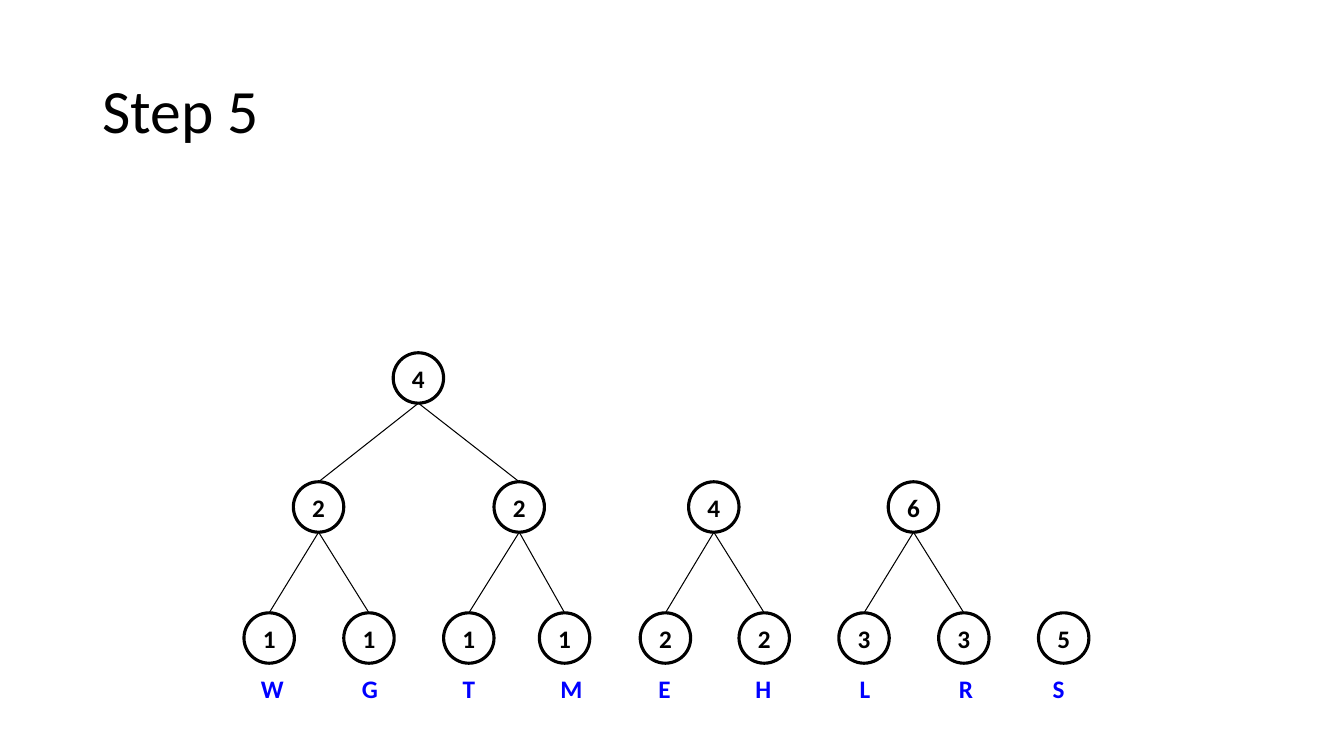
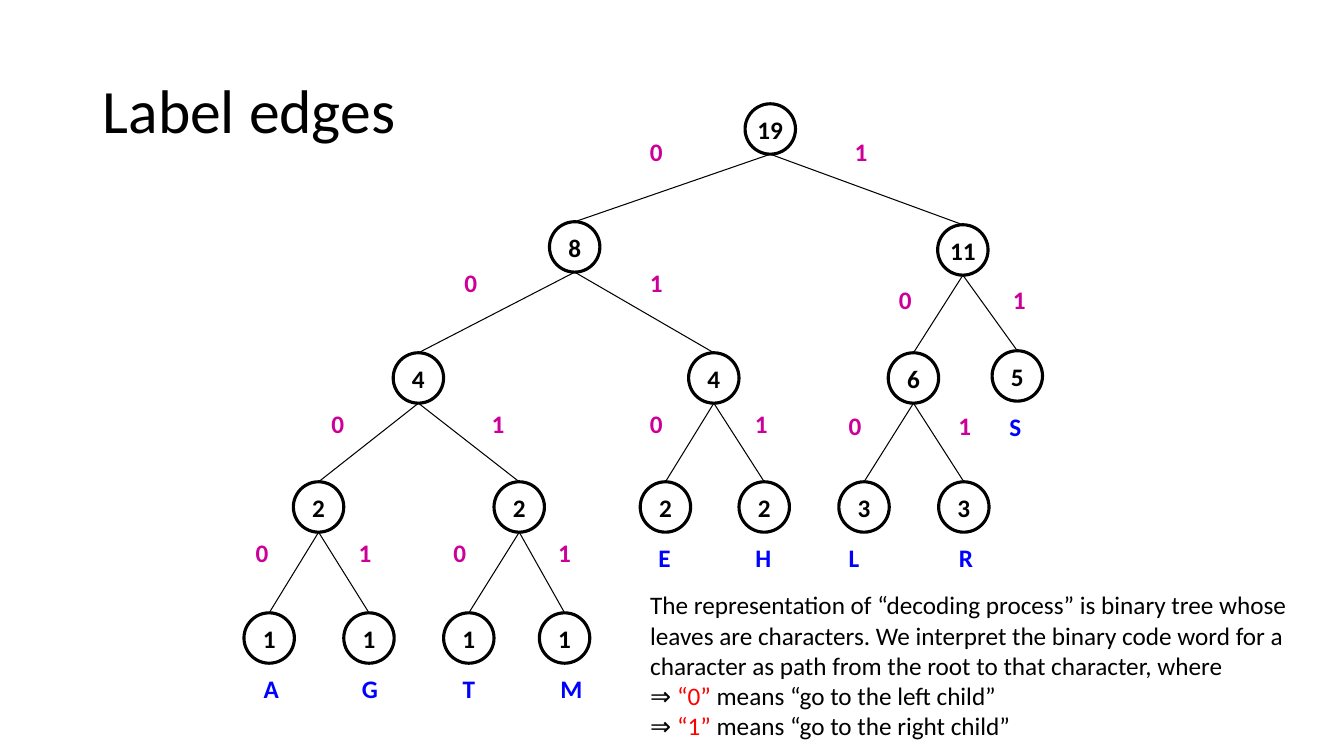
from dataclasses import dataclass
from typing import Optional

from lxml import etree
from pptx import Presentation
from pptx.dml.color import RGBColor
from pptx.enum import shapes, text
from pptx.oxml import ns
from pptx.util import Inches, Pt

BLACK = RGBColor(0x00, 0x00, 0x00)
BLUE = RGBColor(0x00, 0x00, 0xFF)
MAGENTA = RGBColor(0xCC, 0x00, 0x99)
RED = RGBColor(0xFF, 0x00, 0x00)

BODY = {"name": "Calibri", "size": Pt(18), "bold": False}
BOLD = {**BODY, "bold": True}
TITLE = {**BODY, "size": Pt(44)}

ROWS = [1.03, 2.2, 3.5, 4.78, 6.08]
DIAMETER = 0.5
LETTER_DROP = 0.55
LABEL_WIDTH, LABEL_HEIGHT = 0.4, 0.4


@dataclass
class Node:
    """A tree node; x is its centre, bits holds (x of 0, x of 1, top)."""
    value: int
    x: float
    top: float
    children: tuple = ()
    bits: Optional[tuple] = None
    letter: str = ""
    letter_x: float = 0


def pair(value, x, row, leaves, bits=None):
    """Parent in a row over leaves given as (value, x, letter, letter x)."""
    children = tuple(Node(leaf_value, leaf_x, ROWS[row + 1], letter=letter, letter_x=letter_x)
                     for leaf_value, leaf_x, letter, letter_x in leaves)
    return Node(value, x, ROWS[row], children, bits)


def rare_letters(first):
    """Subtree of the four letters that occur once."""
    left = pair(2, 3.16, 3, [(1, 2.67, first, 2.69), (1, 3.66, "G", 3.67)], (2.6, 3.62, 5.28))
    right = pair(2, 5.15, 3, [(1, 4.65, "T", 4.65), (1, 5.6, "M", 5.66)], (4.56, 5.6, 5.28))
    return Node(4, 4.15, ROWS[2], (left, right), (3.35, 4.94, 4.0))


def e_and_h(row):
    return pair(4, 7.08, row, [(2, 6.6, "E", 6.59), (2, 7.58, "H", 7.57)], (6.51, 7.55, 4.0))


def l_and_r(row, l_x):
    return pair(6, 9.06, row, [(3, 8.57, "L", l_x), (3, 9.56, "R", 9.58)], (8.48, 9.57, 4.02))


def whole_tree():
    left = Node(8, 5.7, ROWS[1], (rare_letters("A"), e_and_h(2)), (4.67, 6.51, 2.6))
    s_leaf = Node(5, 10.09, 3.48, letter="S", letter_x=10.07)
    right = Node(11, 9.55, 2.23, (l_and_r(2, 8.47), s_leaf), (8.98, 10.11, 2.77))
    return Node(19, 7.64, ROWS[0], (left, right), (6.51, 8.54, 1.3))


def add_run(paragraph, words, style, color):
    run = paragraph.add_run()
    run.text = words
    for key, value in style.items():
        setattr(run.font, key, value)
    run.font.color.rgb = color


def add_text_box(slide, left, top, width, height, wrap=True):
    box = slide.shapes.add_textbox(Inches(left), Inches(top), Inches(width), Inches(height))
    box.text_frame.word_wrap = wrap
    return box.text_frame


def add_title(slide, words):
    frame = add_text_box(slide, 0.92, 0.4, 11.5, 1.45)
    frame.vertical_anchor = text.MSO_ANCHOR.MIDDLE
    frame.paragraphs[0].line_spacing = 0.9
    add_run(frame.paragraphs[0], words, TITLE, BLACK)


def add_label(slide, x, top, words, color):
    """Short bold label centred on x."""
    frame = add_text_box(slide, x - LABEL_WIDTH / 2, top, LABEL_WIDTH, LABEL_HEIGHT, wrap=False)
    frame.paragraphs[0].alignment = text.PP_ALIGN.CENTER
    add_run(frame.paragraphs[0], words, BOLD, color)


def add_edge(slide, parent, child):
    edge = slide.shapes.add_connector(
        shapes.MSO_CONNECTOR.STRAIGHT, Inches(child.x), Inches(child.top),
        Inches(parent.x), Inches(parent.top + DIAMETER))
    edge.line.color.rgb = BLACK
    edge.line.width = Pt(0.75)
    properties = edge._element.find(ns.qn("p:spPr"))
    etree.SubElement(properties, ns.qn("a:effectLst"))


def add_circle(slide, node):
    circle = slide.shapes.add_shape(
        shapes.MSO_SHAPE.FLOWCHART_CONNECTOR, Inches(node.x - DIAMETER / 2),
        Inches(node.top), Inches(DIAMETER), Inches(DIAMETER))
    circle.shadow.inherit = False
    circle.fill.background()
    circle.line.color.rgb = BLACK
    circle.line.width = Pt(2.25)
    frame = circle.text_frame
    frame.word_wrap = False
    frame.vertical_anchor = text.MSO_ANCHOR.MIDDLE
    frame.paragraphs[0].alignment = text.PP_ALIGN.CENTER
    add_run(frame.paragraphs[0], str(node.value), BOLD, BLACK)


def draw_tree(slide, node, with_bits=False):
    for child in node.children:
        add_edge(slide, node, child)
        draw_tree(slide, child, with_bits)
    add_circle(slide, node)
    if node.letter:
        add_label(slide, node.letter_x, node.top + LETTER_DROP, node.letter, BLUE)
    if with_bits and node.bits:
        zero_x, one_x, top = node.bits
        add_label(slide, zero_x, top, "0", MAGENTA)
        add_label(slide, one_x, top, "1", MAGENTA)


def add_explanation(slide):
    frame = add_text_box(slide, 6.35, 5.8, 6.98, 1.62)
    add_run(frame.paragraphs[0],
            "The representation of “decoding process” is binary tree whose leaves are "
            "characters. We interpret the binary code word for a character as path from "
            "the root to that character, where", BODY, BLACK)
    for bit, side in (("0", "left"), ("1", "right")):
        paragraph = frame.add_paragraph()
        add_run(paragraph, "⇒ ", BODY, BLACK)
        add_run(paragraph, f"“{bit}” ", BODY, RED)
        add_run(paragraph, f"means “go to the {side} child”", BODY, BLACK)


def add_slide(deck, title):
    slide = deck.slides.add_slide(deck.slide_layouts[6])
    add_title(slide, title)
    return slide


def main():
    deck = Presentation()
    deck.slide_width, deck.slide_height = Inches(13.33), Inches(7.5)

    step = add_slide(deck, "Step 5")
    s_leaf = Node(5, 10.55, ROWS[4], letter="S", letter_x=10.5)
    for tree in (rare_letters("W"), e_and_h(3), l_and_r(3, 8.58), s_leaf):
        draw_tree(step, tree)

    labelled = add_slide(deck, "Label edges")
    draw_tree(labelled, whole_tree(), with_bits=True)
    add_explanation(labelled)

    deck.save("out.pptx")


if __name__ == "__main__":
    main()
